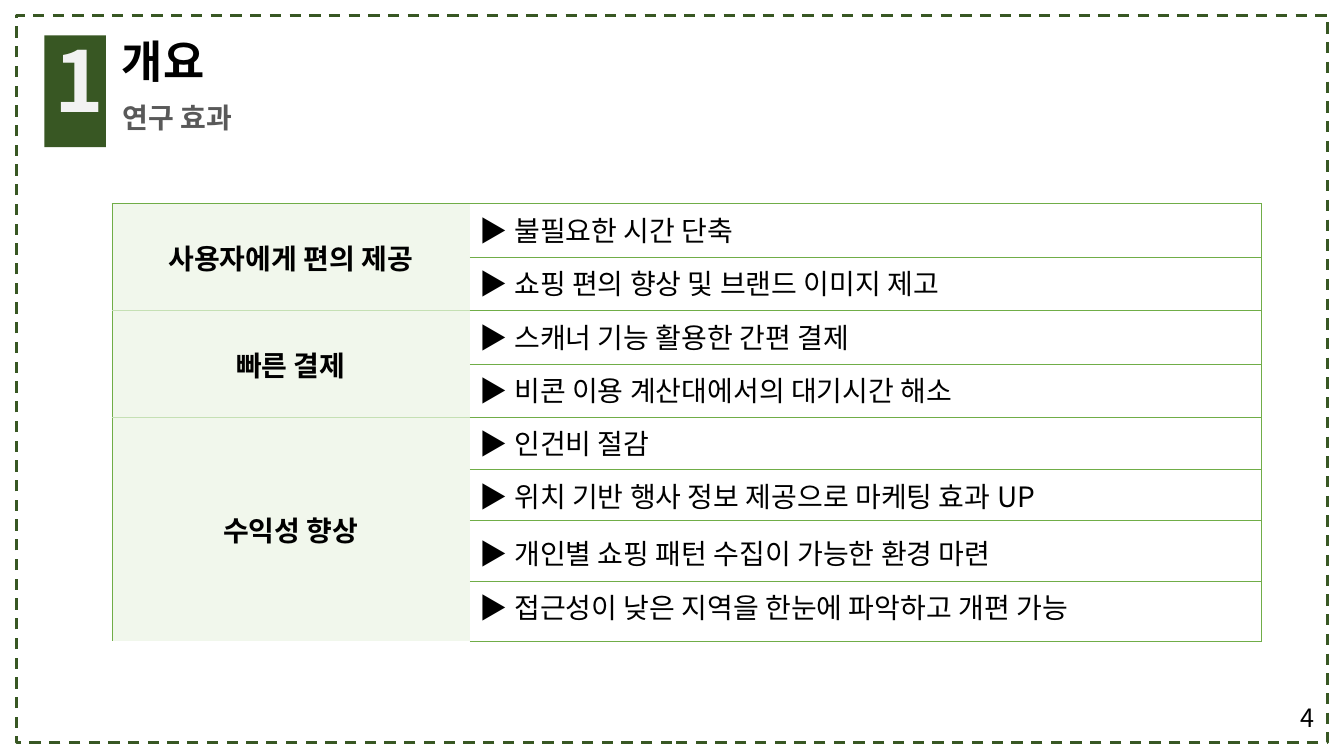
from dataclasses import dataclass, field
from typing import Any, NamedTuple

import pptx
import pptx.dml.color
import pptx.enum.dml
import pptx.enum.shapes
import pptx.enum.text
import pptx.oxml
import pptx.oxml.ns
import pptx.util
from lxml import etree

Align = pptx.enum.text.PP_ALIGN
Anchor = pptx.enum.text.MSO_ANCHOR
EMU_PER_PX = 9144  # 100 px to the inch


@dataclass(frozen=True)
class Theme:
    font: str = "Noto Sans CJK KR"
    ink: str = "000000"
    muted: str = "595959"
    pale: str = "F2F2F2"
    dark_green: str = "385723"
    grid_green: str = "70AD47"
    soft_green: str = "C5E0B4"
    label_fill: str = "F1F7EC"
    number_size: int = 60
    title_size: int = 32
    body_size: int = 20
    page_size: int = 18


THEME = Theme()


class Box(NamedTuple):
    left: int
    top: int
    width: int
    height: int


class Border(NamedTuple):
    color: str
    points: float


@dataclass(frozen=True)
class Label:
    text: str
    size: int
    color: str = THEME.ink
    bold: bool = False
    paragraph: dict[str, Any] = field(default_factory=dict)
    frame: dict[str, Any] = field(default_factory=dict)


@dataclass(frozen=True)
class TextBox:
    box: Box
    label: Label


@dataclass(frozen=True)
class Effect:
    text: str
    height: int
    margin_top: int = 5


@dataclass(frozen=True)
class Benefit:
    name: str
    effects: tuple[Effect, ...]


GRID = Border(THEME.grid_green, 0.5)
SOFT = Border(THEME.soft_green, 1)
FRAME = Box(16, 15, 1301, 722)
BADGE = Box(44, 35, 61, 111)
TABLE = Box(111, 202, 1140, 431)
COLUMNS = (355, 785)
TIGHT = {"line_spacing": 0.9}
CENTERED = {"alignment": Align.CENTER}
MIDDLE = {"vertical_anchor": Anchor.MIDDLE}

NUMBER = Label("1", THEME.number_size, THEME.pale, True, TIGHT | CENTERED,
               {"vertical_anchor": Anchor.TOP, "word_wrap": True})
TEXT_BOXES = (
    TextBox(Box(111, 35, 110, 64),
            Label("개요", THEME.title_size, bold=True, paragraph=TIGHT, frame={"word_wrap": False})),
    TextBox(Box(112, 99, 207, 44),
            Label("연구 효과", THEME.body_size, THEME.muted, True, TIGHT, {"word_wrap": True})),
    TextBox(Box(1260, 673, 73, 77),
            Label("4", THEME.page_size, paragraph=CENTERED, frame=MIDDLE | {"word_wrap": True})),
)
BENEFITS = (
    Benefit("사용자에게 편의 제공", (
        Effect("불필요한 시간 단축", 53),
        Effect("쇼핑 편의 향상 및 브랜드 이미지 제고", 53))),
    Benefit("빠른 결제", (
        Effect("스캐너 기능 활용한 간편 결제", 53),
        Effect("비콘 이용 계산대에서의 대기시간 해소", 53))),
    Benefit("수익성 향상", (
        Effect("인건비 절감", 52),
        Effect("위치 기반 행사 정보 제공으로 마케팅 효과 UP", 47),
        Effect("개인별 쇼핑 패턴 수집이 가능한 환경 마련", 60, 11),
        Effect("접근성이 낮은 지역을 한눈에 파악하고 개편 가능", 60))),
)


def px(length: int) -> pptx.util.Emu:
    return pptx.util.Emu(length * EMU_PER_PX)


def place(box: Box) -> tuple[pptx.util.Emu, ...]:
    return tuple(px(length) for length in box)


def rgb(color: str) -> pptx.dml.color.RGBColor:
    return pptx.dml.color.RGBColor.from_string(color)


def apply(target: Any, values: dict[str, Any]) -> None:
    for name, value in values.items():
        setattr(target, name, value)


def write(text_frame: Any, label: Label) -> None:
    apply(text_frame, label.frame)
    paragraph = text_frame.paragraphs[0]
    apply(paragraph, label.paragraph)
    run = paragraph.add_run()
    run.text = label.text
    apply(run.font, {"name": THEME.font, "size": pptx.util.Pt(label.size), "bold": label.bold})
    run.font.color.rgb = rgb(label.color)
    properties = run.font._element
    etree.SubElement(properties, pptx.oxml.ns.qn("a:ea"), typeface=THEME.font)


def set_borders(cell: Any, left: Border | None, right: Border | None,
                top: Border | None, bottom: Border | None) -> None:
    properties = cell._tc.get_or_add_tcPr()
    for side, border in zip("LRTB", (left, right, top, bottom)):
        line = etree.SubElement(properties, pptx.oxml.ns.qn(f"a:ln{side}"))
        if border is None:
            etree.SubElement(line, pptx.oxml.ns.qn("a:noFill"))
            continue
        line.set("w", str(int(pptx.util.Pt(border.points))))
        fill = etree.SubElement(line, pptx.oxml.ns.qn("a:solidFill"))
        etree.SubElement(fill, pptx.oxml.ns.qn("a:srgbClr"), val=border.color)


def add_benefit_table(slide: Any) -> None:
    heights = [effect.height for benefit in BENEFITS for effect in benefit.effects]
    table = slide.shapes.add_table(len(heights), len(COLUMNS), *place(TABLE)).table
    apply(table, {"first_row": False, "horz_banding": False})
    for column, width in zip(table.columns, COLUMNS):
        column.width = px(width)
    for row, height in zip(table.rows, heights):
        row.height = px(height)

    first = 0
    for benefit in BENEFITS:
        last = first + len(benefit.effects) - 1
        name_cell = table.cell(first, 0)
        name_cell.merge(table.cell(last, 0))
        name_cell.vertical_anchor = Anchor.MIDDLE
        write(name_cell.text_frame, Label(benefit.name, THEME.body_size, bold=True, paragraph=CENTERED))
        for row, effect in enumerate(benefit.effects, first):
            top = GRID if row == 0 else SOFT if row == first else None
            bottom = GRID if row == len(heights) - 1 else SOFT if row == last else None
            label_cell, effect_cell = table.cell(row, 0), table.cell(row, 1)
            set_borders(label_cell, GRID, None, top, bottom)
            label_cell.fill.solid()
            label_cell.fill.fore_color.rgb = rgb(THEME.label_fill)
            set_borders(effect_cell, None, GRID, GRID, GRID)
            effect_cell.fill.background()
            effect_cell.margin_top = px(effect.margin_top)
            write(effect_cell.text_frame, Label(f"▶ {effect.text}", THEME.body_size))
        first = last + 1


def add_rectangle(slide: Any, box: Box) -> Any:
    shape = slide.shapes.add_shape(pptx.enum.shapes.MSO_SHAPE.RECTANGLE, *place(box))
    shape.shadow.inherit = False
    return shape


def add_frame(slide: Any) -> None:
    frame = add_rectangle(slide, FRAME)
    frame.fill.background()
    frame.line.color.rgb = rgb(THEME.dark_green)
    apply(frame.line, {"width": pptx.util.Pt(2), "dash_style": pptx.enum.dml.MSO_LINE.DASH})


def add_badge(slide: Any) -> None:
    badge = add_rectangle(slide, BADGE)
    badge.fill.solid()
    badge.fill.fore_color.rgb = rgb(THEME.dark_green)
    badge.line.fill.background()
    write(badge.text_frame, NUMBER)


def main() -> None:
    presentation = pptx.Presentation()
    apply(presentation, {"slide_width": px(1333), "slide_height": px(750)})
    slide = presentation.slides.add_slide(presentation.slide_layouts[6])
    add_benefit_table(slide)
    add_frame(slide)
    add_badge(slide)
    for item in TEXT_BOXES:
        write(slide.shapes.add_textbox(*place(item.box)).text_frame, item.label)
    presentation.save("out.pptx")


if __name__ == "__main__":
    main()
